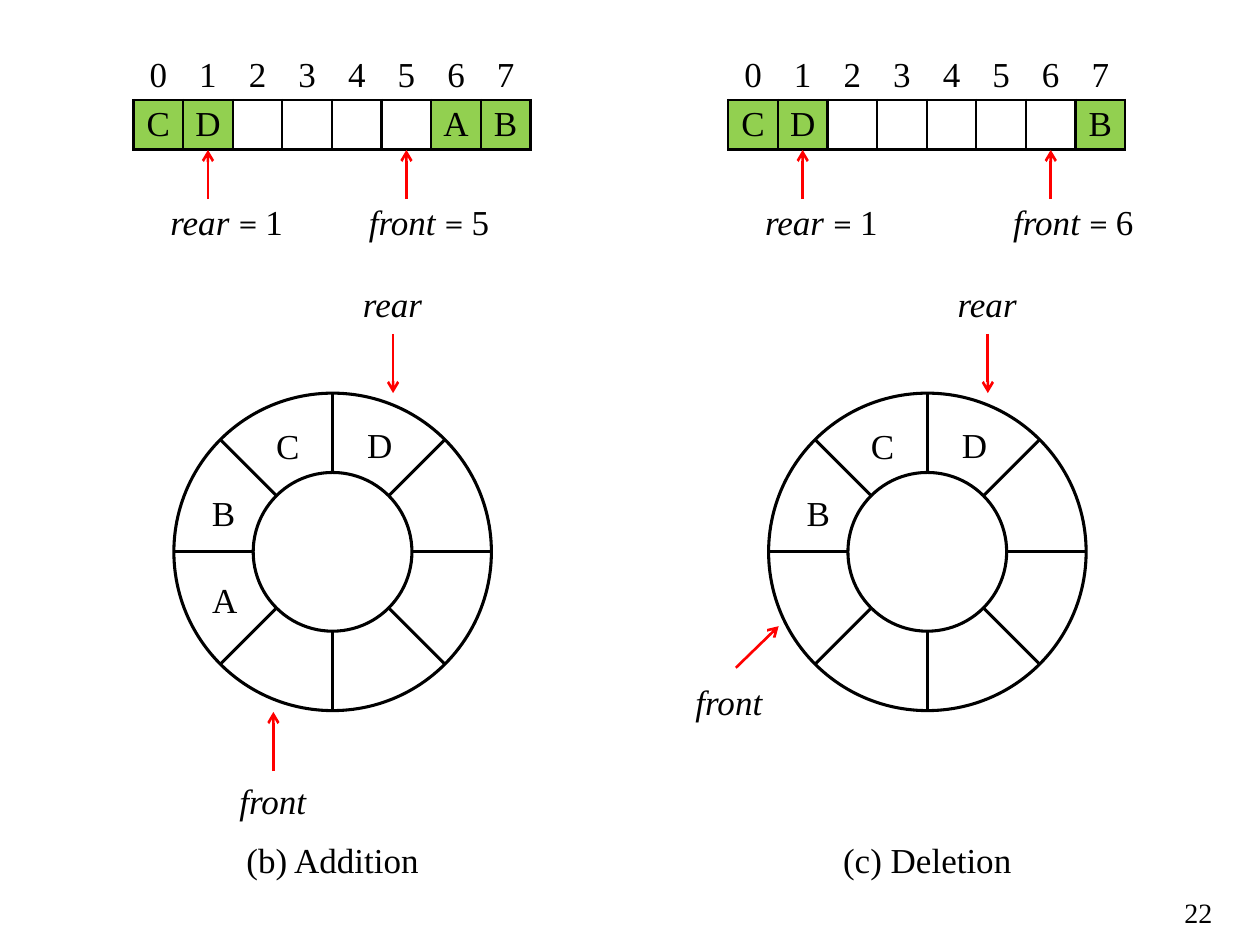
from math import cos, pi, sin

from lxml.etree import SubElement
from pptx import Presentation
from pptx.dml.color import RGBColor
from pptx.enum.shapes import MSO_CONNECTOR as Conn, MSO_SHAPE as Shape
from pptx.enum.text import MSO_ANCHOR as Anchor, PP_ALIGN as Align
from pptx.oxml.ns import qn
from pptx.util import Inches, Pt

rgb = RGBColor.from_string
BLACK, RED, GREEN, WHITE = "000000", "FF0000", "92D050", "FFFFFF"
BASE = {"name": "Times New Roman", "size": Pt(20), "bold": False, "italic": False}
ITALIC = {"italic": True}

deck = Presentation()
deck.slide_width, deck.slide_height = Inches(10), Inches(7.5)
slide = deck.slides.add_slide(deck.slide_layouts[6])
shapes = slide.shapes


def add_text(box, runs, align=Align.CENTER, anchor=Anchor.MIDDLE, wrap=False):
    """Add a text box; runs holds pairs of text and changes to BASE."""
    frame = shapes.add_textbox(*map(Inches, box)).text_frame
    frame.word_wrap, frame.vertical_anchor = wrap, anchor
    para = frame.paragraphs[0]
    para.alignment = align
    for text, look in runs:
        run = para.add_run()
        run.text = text
        for key, val in {**BASE, **look}.items():
            setattr(run.font, key, val)
        run.font.color.rgb = rgb(BLACK)


def add_line(start, end, color=BLACK, width=1.75, arrow=False):
    line = shapes.add_connector(Conn.STRAIGHT, *map(Inches, (*start, *end)))
    line.line.color.rgb = rgb(color)
    line.line.width = Pt(width)
    props = line.element.spPr
    if arrow:
        SubElement(props.find(qn("a:ln")), qn("a:tailEnd"), type="arrow")
    SubElement(props, qn("a:effectLst"))


# Left edge shift, queue slots, index of front, caption and its width,
# ring arrow for front (start, end) and its label corner
sides = [
    (0, "CD    AB", 5, "(b) Addition", 1.9,
     (2.17, 6.12), (2.17, 5.65), (1.69, 6.12)),
    (4.72, "CD     B", 6, "(c) Deletion", 1.57,
     (5.84, 5.3), (6.18, 4.97), (5.31, 5.33)),
]
spots = {"A": (1.55, 4.52), "B": (1.54, 3.83), "C": (2.05, 3.3), "D": (2.78, 3.29)}
CELL, RING, HOLE = 0.39375, 1.26, 0.63
REAR = 1

for shift, slots, front, title, wide, tail, tip, corner in sides:
    # Ring with eight sectors
    mid_x, mid_y = 2.64 + shift, 4.38
    for radius in (RING, HOLE):
        disc = shapes.add_shape(
            Shape.OVAL, Inches(mid_x - radius), Inches(mid_y - radius),
            Inches(2 * radius), Inches(2 * radius))
        disc.shadow.inherit = False
        disc.line.color.rgb = rgb(BLACK)
        disc.line.width = Pt(1.75)
        if radius == RING:
            disc.fill.background()
            for step in range(4):
                dx, dy = RING * cos(step * pi / 4), RING * sin(step * pi / 4)
                add_line((mid_x - dx, mid_y - dy), (mid_x + dx, mid_y + dy))
        else:
            disc.fill.solid()
            disc.fill.fore_color.rgb = rgb(WHITE)

    for name in slots.replace(" ", ""):
        left, top = spots[name]
        add_text((left + shift, top, 0.47, 0.47), [(name, {})])

    add_line(tail, tip, RED, 1.5, True)
    add_line((3.12 + shift, 2.65), (3.12 + shift, 3.12), RED, 1.5, True)
    add_text((*corner, 0.95, 0.47), [("front", ITALIC)])
    add_text((2.64 + shift, 2.17, 0.95, 0.47), [("rear", ITALIC)])
    add_text((mid_x - wide / 2, 6.59, wide, 0.47), [(title, {})])

    # Array with its indices
    edge = 1.06 + shift
    table = shapes.add_table(2, 8, Inches(edge), Inches(0.4),
                             Inches(8 * CELL), Inches(2 * CELL)).table
    table.first_row = table.horz_banding = False
    for part in table.columns:
        part.width = Inches(CELL)
    for part in table.rows:
        part.height = Inches(CELL)
    for row, texts in enumerate(("01234567", slots)):
        for col, text in enumerate(texts):
            cell = table.cell(row, col)
            cell.margin_left = cell.margin_right = 0
            cell.margin_top = cell.margin_bottom = 0
            cell.vertical_anchor = Anchor.MIDDLE
            para = cell.text_frame.paragraphs[0]
            para.text = text.strip()
            para.alignment = Align.CENTER
            for key, val in BASE.items():
                setattr(para.font, key, val)
            para.font.color.rgb = rgb(BLACK)
            props = cell._tc.get_or_add_tcPr()
            for side in ("L", "R", "T", "B"):
                border = SubElement(props, qn(f"a:ln{side}"), w=str(Pt(1.5)))
                if row == 1 or side == "B":
                    fill = SubElement(border, qn("a:solidFill"))
                    SubElement(fill, qn("a:srgbClr"), val=BLACK)
                else:
                    SubElement(border, qn("a:noFill"))
            if row == 0:
                cell.fill.background()
            else:
                cell.fill.solid()
                cell.fill.fore_color.rgb = rgb(GREEN if text.strip() else WHITE)

    # Pointers under the array
    for name, index, wide in (("front", front, 1.38), ("rear", REAR, 1.18)):
        left = edge + index * CELL
        add_text((left - 0.2, 1.58, wide, 0.39),
                 [(f"{name} ", ITALIC), ("= ", {"name": "Cambria"}), (str(index), {})],
                 Align.LEFT, Anchor.BOTTOM, True)
        mid = left + CELL / 2
        add_line((mid, 1.58), (mid, 1.19), RED, 1.5, True)

add_text((9.25, 7.06, 0.47, 0.32), [("22", {"size": Pt(16)})],
         Align.RIGHT, Anchor.TOP, True)

deck.save("out.pptx")
